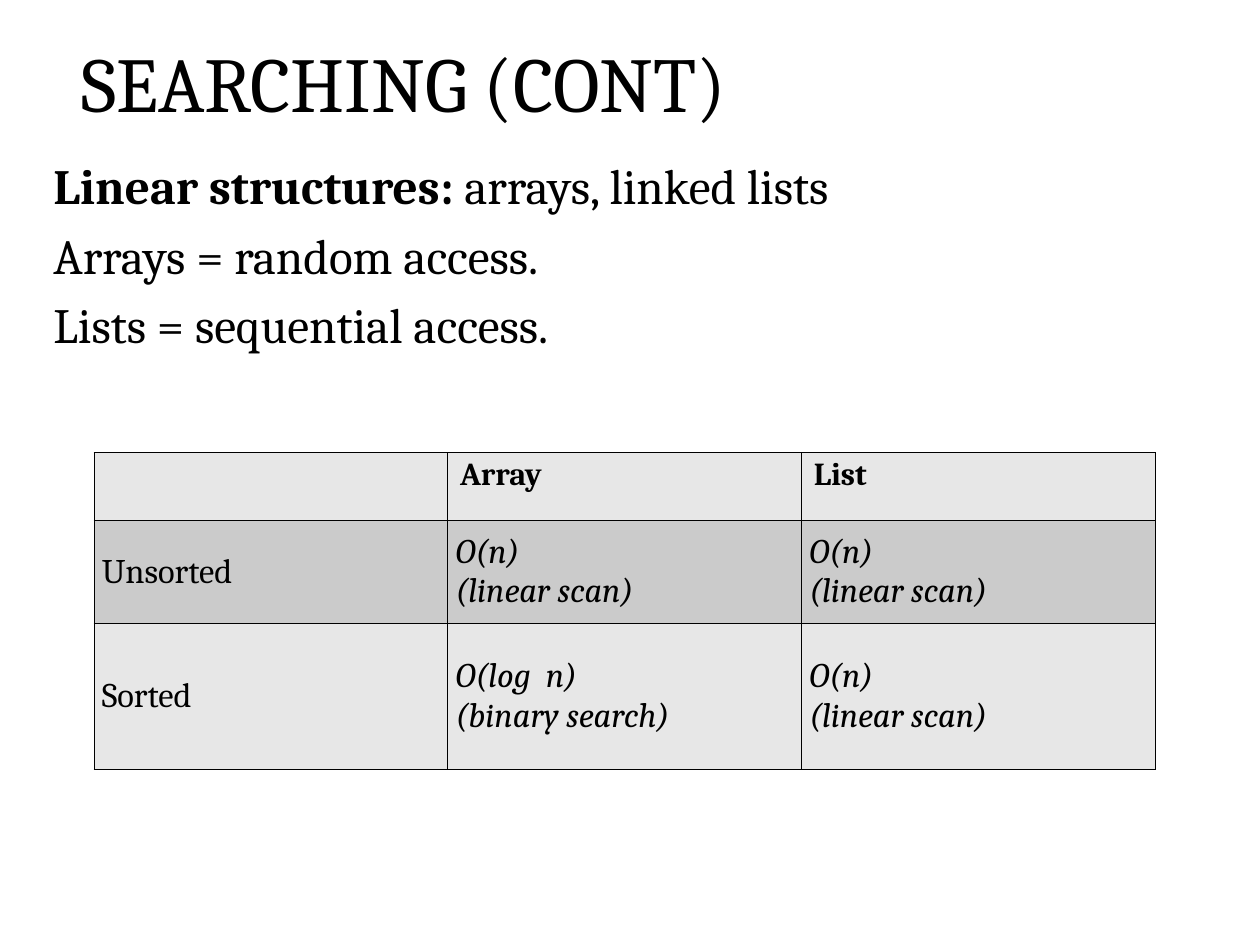
"""Build the slide comparing search costs in arrays and lists."""
from lxml.etree import SubElement
from pptx import Presentation
from pptx.dml.color import RGBColor
from pptx.enum.text import MSO_ANCHOR, MSO_AUTO_SIZE, PP_ALIGN
from pptx.oxml.ns import qn
from pptx.util import Cm, Pt

COLORS = {"text": "000000", "border": "000000", "light": "E7E7E7", "dark": "CBCBCB"}


def set_font(paragraph, size, bold=False, italic=False):
    font = paragraph.font
    font.name = "Cambria"
    font.size = Pt(size)
    font.bold = bold
    font.italic = italic
    font.color.rgb = RGBColor.from_string(COLORS["text"])


def add_borders(cell):
    properties = cell._tc.get_or_add_tcPr()
    for side in ("a:lnL", "a:lnR", "a:lnT", "a:lnB"):
        line = SubElement(properties, qn(side), w=str(Pt(0.45)))
        fill = SubElement(line, qn("a:solidFill"))
        SubElement(fill, qn("a:srgbClr"), val=COLORS["border"])


presentation = Presentation()
presentation.slide_width = Cm(36.12)
presentation.slide_height = Cm(27.08)
slide = presentation.slides.add_slide(presentation.slide_layouts[1])
heading = slide.shapes.title
points = slide.placeholders[1]

for placeholder, left, top, width, height in (
    (heading, 1.98, 0.74, 31.17, 3.12),
    (points, 0.28, 4.27, 35.4, 23.5),
):
    placeholder.left, placeholder.top = Cm(left), Cm(top)
    placeholder.width, placeholder.height = Cm(width), Cm(height)
    frame = placeholder.text_frame
    frame.auto_size = MSO_AUTO_SIZE.NONE
    frame.word_wrap = True
    frame.margin_left = frame.margin_right = Cm(0.36)
    frame.margin_top = frame.margin_bottom = Cm(0.18)

heading.text_frame.text = "SEARCHING (CONT)"
heading.text_frame.vertical_anchor = MSO_ANCHOR.BOTTOM
heading.text_frame.paragraphs[0].alignment = PP_ALIGN.LEFT
set_font(heading.text_frame.paragraphs[0], 63)

points.text_frame.text = "\n".join(
    ("", "Arrays = random access.", "Lists = sequential access.")
)
structures = points.text_frame.paragraphs[0]
structures.add_run().text = "Linear structures:"
structures.add_run().text = " arrays, linked lists"
structures.runs[0].font.bold = True
for index, point in enumerate(points.text_frame.paragraphs):
    point.space_before = Pt(8.5 if index else 0)
    properties = point._p.get_or_add_pPr()
    properties.set("marL", str(Cm(0.89)))
    properties.set("indent", "0")
    SubElement(properties, qn("a:buNone"))
    set_font(point, 40)

costs = (
    ("", "Array", "List"),
    ("Unsorted", "O(n)\v(linear scan)", "O(n)\v(linear scan)"),
    ("Sorted", "O(log  n)\v(binary search)", "O(n)\v(linear scan)"),
)
row_heights = (1.94, 2.95, 4.19)
table = slide.shapes.add_table(
    len(costs), 3, Cm(2.69), Cm(12.97), Cm(30.42), Cm(sum(row_heights))
).table
table.first_row = False
table.horz_banding = False
for row_index, (cost_row, row_height) in enumerate(zip(costs, row_heights)):
    table.rows[row_index].height = Cm(row_height)
    is_header = row_index == 0
    for column_index, cost in enumerate(cost_row):
        cell = table.cell(row_index, column_index)
        cell.text = cost
        cell.margin_left = cell.margin_right = Cm(0.36 if is_header else 0.23)
        cell.margin_top = cell.margin_bottom = Cm(0.13)
        cell.vertical_anchor = MSO_ANCHOR.TOP if is_header else MSO_ANCHOR.MIDDLE
        add_borders(cell)
        cell.fill.solid()
        shade = COLORS["dark" if row_index % 2 else "light"]
        cell.fill.fore_color.rgb = RGBColor.from_string(shade)
        set_font(
            cell.text_frame.paragraphs[0],
            26 if is_header else 28,
            bold=is_header,
            italic=not is_header and column_index > 0,
        )

presentation.save("out.pptx")
